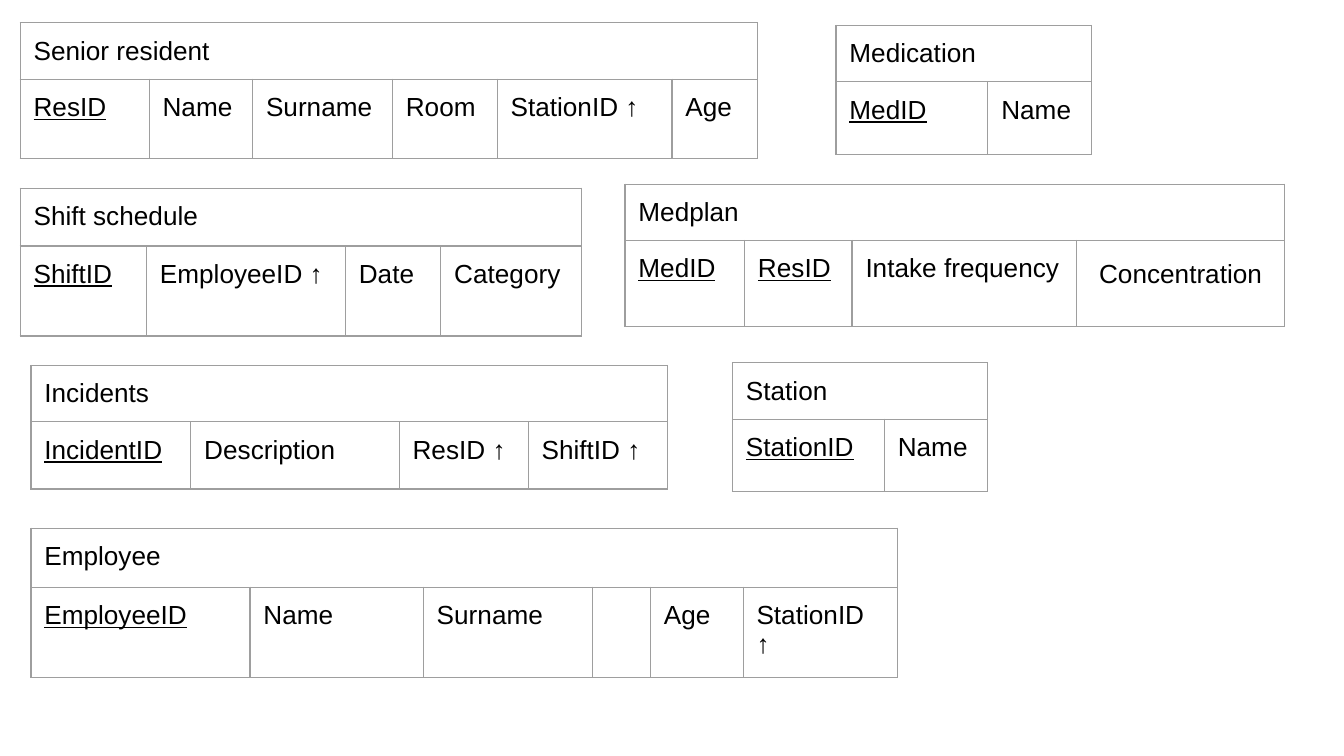
import lxml.etree
import pptx
import pptx.dml.color
import pptx.enum.text
import pptx.oxml.ns
import pptx.util

COLUMNS = 1000
ROWS = COLUMNS * 9 / 16
FONT, SIZE = "Arial", 14
INK, RULE = "000000", "9E9E9E"

# name, left, top, row heights, number of key fields, fields with widths
RELATIONS = [
    ("Senior resident", 15, 17, (38, 59), 1,
     [("ResID", 96), ("Name", 77), ("Surname", 104), ("Room", 78),
      ("StationID ↑", 130), ("Age", 64)]),
    ("Medication", 622, 19, (33, 54), 1, [("MedID", 113), ("Name", 77)]),
    ("Employee", 23, 393, (44, 67), 1,
     [("EmployeeID", 163), ("Name", 129), ("Surname", 126), ("", 43),
      ("Age", 69), ("StationID ↑", 115)]),
    ("Shift schedule", 15, 140, (43, 67), 1,
     [("ShiftID", 94), ("EmployeeID ↑", 148), ("Date", 71), ("Category", 105)]),
    ("Medplan", 465, 137, (39, 64), 2,
     [("MedID", 89), ("ResID", 80), ("Intake frequency", 167),
      ("Concentration", 155)]),
    ("Station", 545, 270, (33, 54), 1, [("StationID", 113), ("Name", 77)]),
    ("Incidents", 23, 272, (35, 50), 1,
     [("IncidentID", 119), ("Description", 155), ("ResID ↑", 96),
      ("ShiftID ↑", 104)]),
]


def grid(count):
    """Return the length of a number of grid columns or rows."""
    return pptx.util.Inches(count * 10 / COLUMNS)


def color(value):
    """Return the colour of a hex string."""
    return pptx.dml.color.RGBColor.from_string(value)


def add_borders(cell):
    """Rule all four sides of a table cell."""
    tcPr = cell._tc.get_or_add_tcPr()
    for i, side in enumerate("LRTB"):
        ln = lxml.etree.Element(pptx.oxml.ns.qn(f"a:ln{side}"),
                                w=str(pptx.util.Pt(0.75)))
        fill = lxml.etree.SubElement(ln, pptx.oxml.ns.qn("a:solidFill"))
        lxml.etree.SubElement(fill, pptx.oxml.ns.qn("a:srgbClr"), val=RULE)
        tcPr.insert(i, ln)


def format_cell(cell):
    """Give a table cell its margins, empty fill and borders."""
    cell.margin_left = cell.margin_right = grid(10)
    cell.margin_top = cell.margin_bottom = grid(10)
    cell.fill.background()
    add_borders(cell)


def add_text(cell, text, key=False):
    """Write one run into a table cell, underlined for a key field."""
    p = cell.text_frame.paragraphs[0]
    r = p.add_run()
    r.text = text
    r.font.name = FONT
    r.font.size = pptx.util.Pt(SIZE)
    r.font.color.rgb = color(INK)
    r.font.underline = key
    return p


def add_relation(s, name, left, top, heights, keys, fields):
    """Add a table with the relation's name above its fields."""
    width = sum(w for _, w in fields)
    table = s.shapes.add_table(2, len(fields), grid(left), grid(top),
                               grid(width), grid(sum(heights))).table
    table.first_row = table.horz_banding = False
    for row, height in zip(table.rows, heights):
        row.height = grid(height)
    for cell in table.iter_cells():
        format_cell(cell)
    table.cell(0, 0).merge(table.cell(0, len(fields) - 1))
    add_text(table.cell(0, 0), name)
    for i, (field, w) in enumerate(fields):
        table.columns[i].width = grid(w)
        if field:
            p = add_text(table.cell(1, i), field, i < keys)
            if field == "Concentration":
                p.alignment = pptx.enum.text.PP_ALIGN.CENTER
                p.line_spacing = 1.2


def main():
    """Build the slide of relations and save it."""
    prs = pptx.Presentation()
    prs.slide_width, prs.slide_height = grid(COLUMNS), grid(ROWS)
    s = prs.slides.add_slide(prs.slide_layouts[6])
    for relation in RELATIONS:
        add_relation(s, *relation)
    prs.save("out.pptx")


if __name__ == "__main__":
    main()
